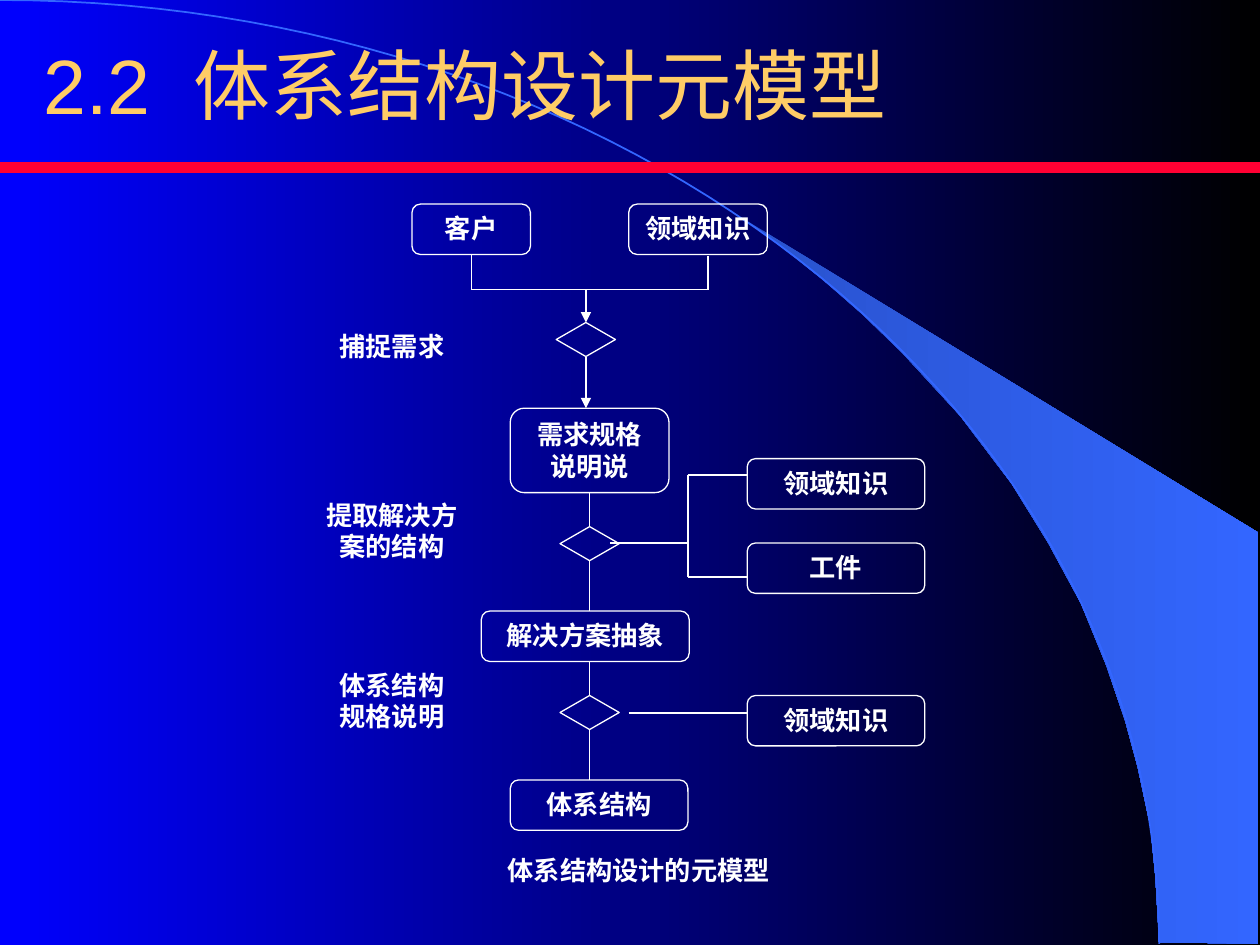
from lxml import etree
from pptx import Presentation
from pptx.dml.color import RGBColor
from pptx.enum import shapes, text
from pptx.oxml.ns import qn
from pptx.util import Inches, Pt

COLORS = {"blue": "0000FF", "black": "000000", "white": "FFFFFF", "gold": "FFCC66",
          "red": "FF0033", "arc": "3366FF", "swoosh": "2952CC"}

TITLE = ["2.2", " ", "体系结构设计元模型"]

# name: (left, top, width, height, lines)
BOXES = {
    "customer": (3.27, 1.62, 0.94, 0.4, ["客户"]),
    "domain": (4.99, 1.62, 1.1, 0.4, ["领域知识"]),
    "requirements": (4.05, 3.24, 1.26, 0.67, ["需求规格", "说明说"]),
    "abstraction": (3.82, 4.85, 1.65, 0.4, ["解决方案抽象"]),
    "architecture": (4.05, 6.19, 1.41, 0.4, ["体系结构"]),
    "solution domain": (5.93, 3.64, 1.41, 0.4, ["领域知识"]),
    "artifact": (5.93, 4.31, 1.41, 0.4, ["工件"]),
    "spec domain": (5.93, 5.52, 1.41, 0.4, ["领域知识"]),
}

# name: (centre x, top)
DECISIONS = {"capture": (4.65, 2.56), "extract": (4.68, 4.18), "specify": (4.68, 5.52)}
DECISION_SIZE = (0.47, 0.27)

LABELS = [
    (2.48, 2.57, 1.26, 0.4, ["捕捉需求"]),
    (2.48, 3.91, 1.26, 0.67, ["提取解决方案的结构"]),
    (2.48, 5.26, 1.26, 0.67, ["体系结构", "规格说明"]),
    (2.64, 6.73, 4.86, 0.4, ["体系结构设计的元模型"]),
]

# start, end, arrowhead; an end is a point or a (node, side) pair
TOP, BOTTOM = 0, 2
LINKS = [
    (("customer", BOTTOM), (3.74, 2.3), False),
    ((5.62, 2.03), (5.62, 2.3), False),
    ((3.74, 2.3), (5.62, 2.3), False),
    ((4.65, 2.3), ("capture", TOP), True),
    (("capture", BOTTOM), (4.65, 3.24), True),
    (("requirements", BOTTOM), ("extract", TOP), False),
    (("extract", BOTTOM), (4.68, 4.85), False),
    ((4.68, 5.25), ("specify", TOP), False),
    (("specify", BOTTOM), (4.68, 6.19), False),
    ((4.99, 5.66), (5.93, 5.66), False),
    ((4.84, 4.31), (5.46, 4.31), False),
    ((5.46, 3.77), (5.46, 4.58), False),
    ((5.46, 3.77), (5.93, 3.77), False),
    ((5.46, 4.58), (5.93, 4.58), False),
]

SWOOSH = [(9.2, 7.48), (9.99, 7.49), (9.99, 4.23), (5.89, 1.73), (6.24, 1.99), (6.53, 2.22),
          (6.85, 2.5), (7.16, 2.8), (7.62, 3.3), (8.03, 3.84), (8.32, 4.31), (8.58, 4.79),
          (8.78, 5.28), (8.93, 5.72), (9.03, 6.09), (9.13, 6.56), (9.17, 6.96)]
ARC = [(0, 0), (5.08, 0), (9.2, 3.35), (9.2, 7.49)]
ARC_STEPS = 60


def rgb(name):
    return RGBColor.from_string(COLORS[name])


def set_line(shape, color, width):
    shape.line.color.rgb = rgb(color)
    shape.line.width = Pt(width)


def set_gradient(fill, start, end):
    fill.gradient()
    fill.gradient_angle = 0
    for stop, position, color in zip(fill.gradient_stops, (0, 1), (start, end)):
        stop.position = position
        stop.color.rgb = rgb(color)


def add_run(paragraph, words, size, font, color, bold=False):
    run = paragraph.add_run()
    run.text = words
    run.font.size = Pt(size)
    run.font.name = font
    run.font.bold = bold
    run.font.color.rgb = rgb(color)
    return run


def write_lines(shape, lines):
    frame = shape.text_frame
    frame.word_wrap = True
    frame.vertical_anchor = text.MSO_ANCHOR.TOP
    for i, words in enumerate(lines):
        paragraph = frame.add_paragraph() if i else frame.paragraphs[0]
        paragraph.alignment = text.PP_ALIGN.CENTER
        add_run(paragraph, words, 15, "Times New Roman", "white", bold=True)


def add_outline(slide, kind, *place):
    """Add an unfilled preset shape with a thin white line."""
    shape = slide.shapes.add_shape(kind, *map(Inches, place))
    shape.shadow.inherit = False
    shape.fill.background()
    set_line(shape, "white", 0.75)
    return shape


def add_polyline(slide, points, close):
    builder = slide.shapes.build_freeform(*map(Inches, points[0]))
    builder.add_line_segments([tuple(map(Inches, p)) for p in points[1:]], close=close)
    shape = builder.convert_to_shape()
    shape.shadow.inherit = False
    return shape


def bezier(controls, t):
    weights = ((1 - t) ** 3, 3 * t * (1 - t) ** 2, 3 * t ** 2 * (1 - t), t ** 3)
    return tuple(sum(w * c[axis] for w, c in zip(weights, controls)) for axis in (0, 1))


def add_link(slide, nodes, start, end, arrow=False, color="white", width=0.75):
    points = [(0, 0) if p[0] in nodes else p for p in (start, end)]
    link = slide.shapes.add_connector(
        shapes.MSO_CONNECTOR.STRAIGHT, *(Inches(v) for p in points for v in p))
    for place, join in ((start, link.begin_connect), (end, link.end_connect)):
        if place[0] in nodes:
            join(nodes[place[0]], place[1])
    set_line(link, color, width)
    if arrow:
        etree.SubElement(link.line._get_or_add_ln(), qn("a:tailEnd"), type="triangle")
    etree.SubElement(link._element.spPr, qn("a:effectLst"))


def add_backdrop(slide):
    set_gradient(slide.background.fill, "blue", "black")
    swoosh = add_polyline(slide, SWOOSH, close=True)
    set_gradient(swoosh.fill, "swoosh", "arc")
    swoosh.line.fill.background()
    arc = add_polyline(slide, [bezier(ARC, i / ARC_STEPS) for i in range(ARC_STEPS + 1)],
                       close=False)
    arc.fill.background()
    set_line(arc, "arc", 1)


def add_title(slide):
    frame = slide.shapes.add_textbox(*map(Inches, (0.25, 0.25, 8.5, 0.83))).text_frame
    frame.word_wrap = True
    frame.vertical_anchor = text.MSO_ANCHOR.MIDDLE
    number, gap, heading = [add_run(frame.paragraphs[0], words, 44, "Arial", "gold")
                            for words in TITLE]
    gap.font._element.set("spc", "1200")  # widens the gap after the number


def main():
    deck = Presentation()
    deck.slide_width, deck.slide_height = Inches(10), Inches(7.5)
    slide = deck.slides.add_slide(deck.slide_layouts[6])
    add_backdrop(slide)
    add_title(slide)
    add_link(slide, {}, (0, 1.33), (10, 1.33), color="red", width=6)

    nodes = {}
    for name, (*place, lines) in BOXES.items():
        nodes[name] = add_outline(slide, shapes.MSO_SHAPE.FLOWCHART_ALTERNATE_PROCESS, *place)
        write_lines(nodes[name], lines)
    for name, (centre, top) in DECISIONS.items():
        nodes[name] = add_outline(slide, shapes.MSO_SHAPE.FLOWCHART_DECISION,
                                  centre - DECISION_SIZE[0] / 2, top, *DECISION_SIZE)
    for link in LINKS:
        add_link(slide, nodes, *link)
    for *place, lines in LABELS:
        write_lines(slide.shapes.add_textbox(*map(Inches, place)), lines)
    deck.save("out.pptx")


if __name__ == "__main__":
    main()
